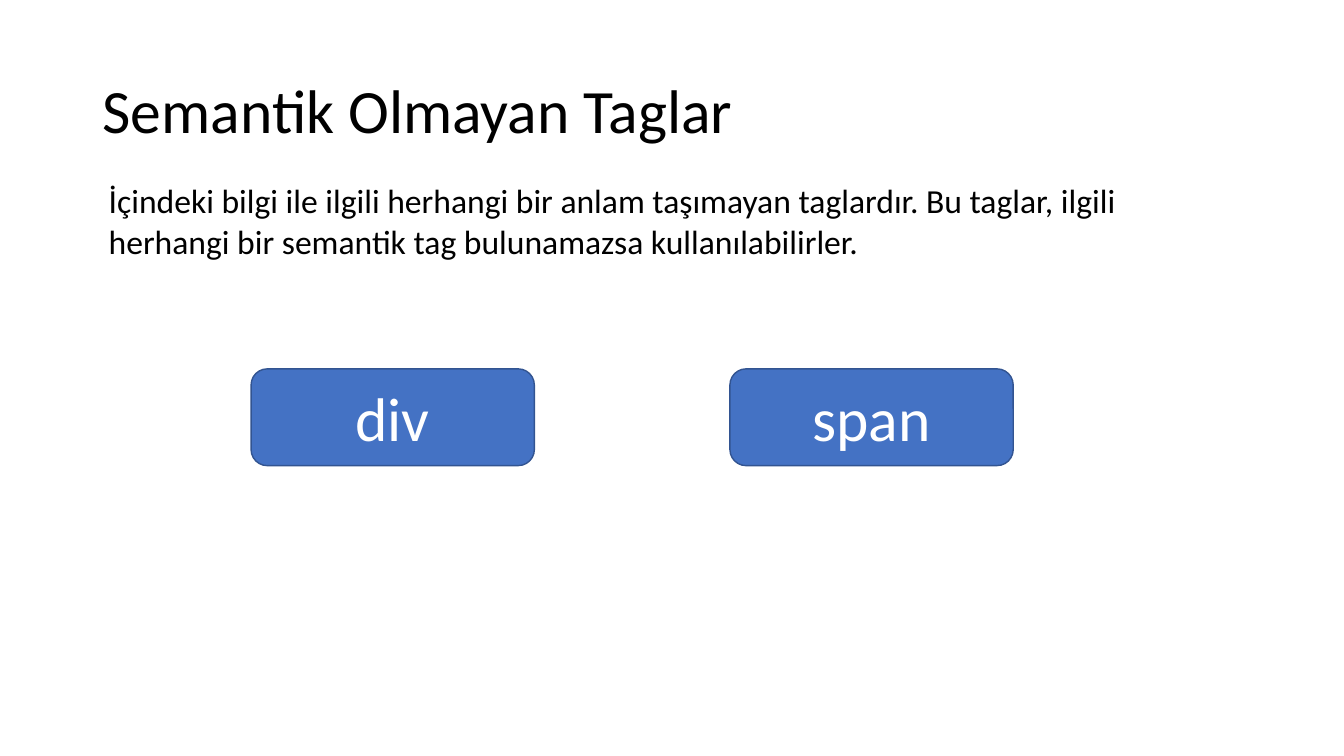
"""Build a slide on HTML tags that carry no semantic meaning."""
from dataclasses import dataclass

from pptx import Presentation
from pptx.dml.color import RGBColor
from pptx.enum.shapes import MSO_SHAPE as Shape
from pptx.enum.text import MSO_ANCHOR as Anchor, PP_ALIGN as Align
from pptx.shapes.autoshape import Shape as Box
from pptx.slide import Slide
from pptx.util import Inches, Length, Pt

WIDTH, HEIGHT = Inches(13.33), Inches(7.5)
BLACK, WHITE, BLUE, NAVY = "000000", "FFFFFF", "4472C4", "325491"
TAG_LEFT, TAG_STEP = 18.68, 35.63


@dataclass(frozen=True)
class Area:
    left: float
    top: float
    width: float
    height: float

    def lengths(self) -> tuple[Length, ...]:
        shares = ((self.left, WIDTH), (self.top, HEIGHT),
                  (self.width, WIDTH), (self.height, HEIGHT))
        return tuple(Length(round(whole * share / 100)) for share, whole in shares)


@dataclass(frozen=True)
class Label:
    text: str
    area: Area
    size: int
    color: str = BLACK
    anchor: Anchor = Anchor.TOP
    align: Align = Align.LEFT
    spacing: float = 1.0


def rgb(value: str) -> RGBColor:
    return RGBColor.from_string(value)


def write(box: Box, label: Label) -> None:
    frame = box.text_frame
    frame.word_wrap = True
    frame.vertical_anchor = label.anchor
    para = frame.paragraphs[0]
    para.alignment = label.align
    para.line_spacing = label.spacing
    span = para.add_run()
    span.text = label.text
    span.font.color.rgb = rgb(label.color)
    for name, value in {"name": "Calibri", "size": Pt(label.size)}.items():
        setattr(span.font, name, value)


def add_text(page: Slide, label: Label) -> None:
    write(page.shapes.add_textbox(*label.area.lengths()), label)


def add_tag(page: Slide, label: Label) -> None:
    box = page.shapes.add_shape(Shape.ROUNDED_RECTANGLE, *label.area.lengths())
    box.shadow.inherit = False
    box.fill.solid()
    box.fill.fore_color.rgb = rgb(BLUE)
    box.line.color.rgb = rgb(NAVY)
    box.line.width = Pt(1)
    write(box, label)


TEXTS = (
    Label("Semantik Olmayan Taglar", Area(6.9, 5.33, 86.25, 19.33), 44,
          anchor=Anchor.MIDDLE, spacing=0.9),
    Label("İçindeki bilgi ile ilgili herhangi bir anlam taşımayan taglardır. "
          "Bu taglar, ilgili herhangi bir semantik tag bulunamazsa kullanılabilirler.",
          Area(7.35, 23.2, 82.65, 12.13), 24),
)
TAGS = ("div", "span")


def main() -> None:
    deck = Presentation()
    deck.slide_width, deck.slide_height = WIDTH, HEIGHT
    page = deck.slides.add_slide(deck.slide_layouts[6])
    for label in TEXTS:
        add_text(page, label)
    for column, tag in enumerate(TAGS):
        area = Area(TAG_LEFT + column * TAG_STEP, 48.8, 21.08, 12.8)
        add_tag(page, Label(tag, area, 44, WHITE, Anchor.MIDDLE, Align.CENTER))
    deck.save("out.pptx")


if __name__ == "__main__":
    main()
